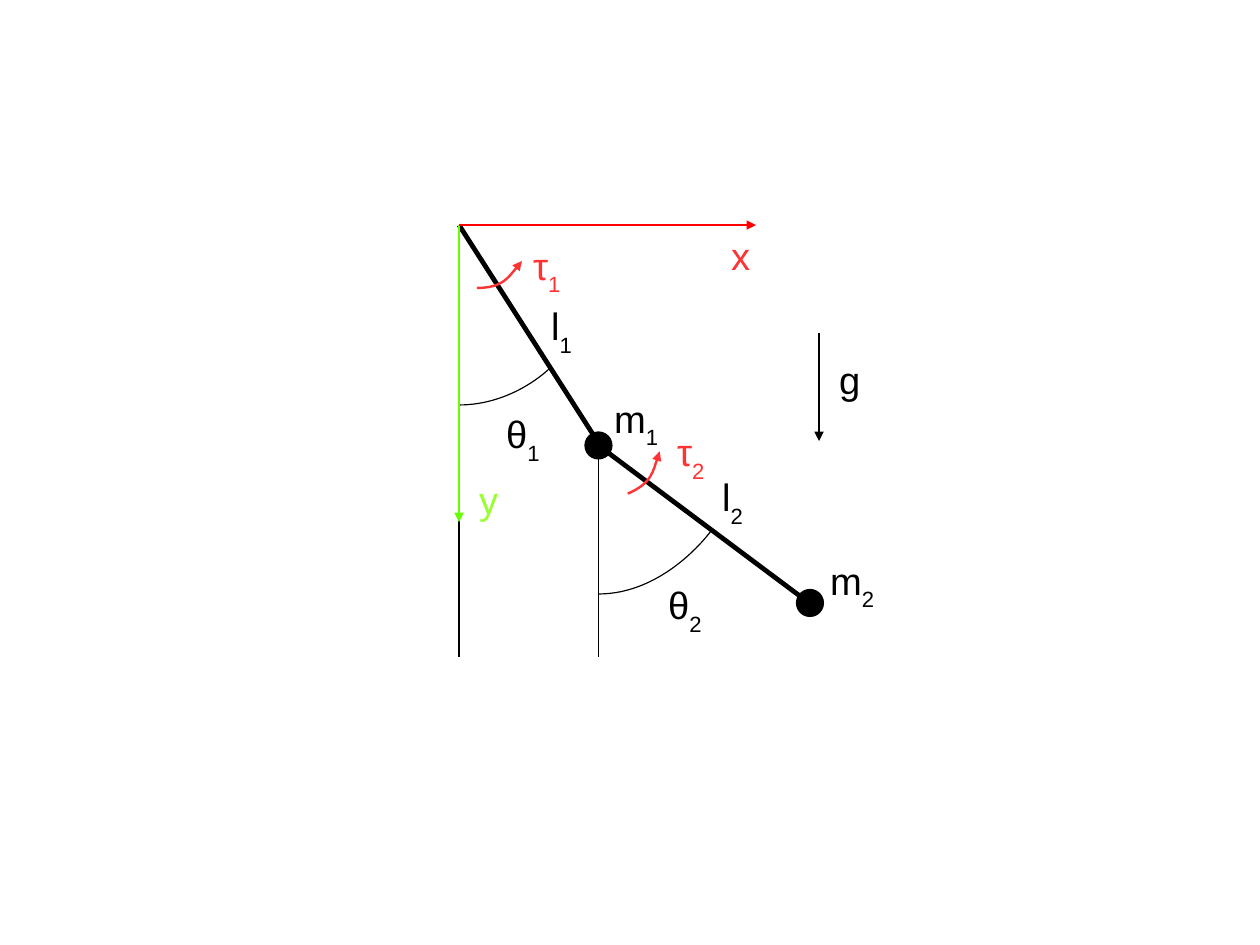
from lxml import etree
from pptx import Presentation
from pptx.dml.color import RGBColor
from pptx.enum.shapes import MSO_CONNECTOR, MSO_SHAPE
from pptx.enum.text import MSO_AUTO_SIZE
from pptx.oxml.ns import qn
from pptx.util import Cm, Pt

STRAIGHT = MSO_CONNECTOR.STRAIGHT
OVAL = MSO_SHAPE.OVAL
GROW = MSO_AUTO_SIZE.SHAPE_TO_FIT_TEXT

BLACK = RGBColor(0x00, 0x00, 0x00)
RED = RGBColor(0xFF, 0x00, 0x00)
SOFT_RED = RGBColor(0xFF, 0x33, 0x33)
GREEN = RGBColor(0x66, 0xFF, 0x00)
SOFT_GREEN = RGBColor(0x99, 0xFF, 0x33)

COLUMNS, ROWS = 28, 21
CELL = Cm(1)
ORIGIN = (10.2, 5)
JOINT = (13.3, 9.9)
TIP = (18, 13.4)
BOB = 0.6
PLUMB_END = 14.6


def grid(*values):
    return [round(v * CELL) for v in values]


def style_line(sp, color, width, arrow=False):
    sp.line.color.rgb = color
    sp.line.width = Pt(width)
    if arrow:
        ln = sp.line._get_or_add_ln()
        etree.SubElement(ln, qn("a:tailEnd"), type="triangle")


def add_line(shapes, start, end, color, width, arrow=False):
    sp = shapes.add_connector(STRAIGHT, *grid(*start, *end))
    style_line(sp, color, width, arrow)
    etree.SubElement(sp._element.spPr, qn("a:effectLst"))


def add_curve(shapes, start, bend, end, color, width, arrow=False):
    builder = shapes.build_freeform(*grid(*start))
    builder.add_line_segments([grid(*end)], close=False)
    sp = builder.convert_to_shape()
    segment = next(sp._element.iter(qn("a:lnTo")))
    segment.tag = qn("a:cubicBezTo")
    x, y = grid(*bend)
    control = etree.Element(qn("a:pt"), x=str(x - sp.left), y=str(y - sp.top))
    segment.insert(0, control)
    end_pt = segment[1]
    etree.SubElement(segment, qn("a:pt"), x=end_pt.get("x"), y=end_pt.get("y"))
    sp.fill.background()
    sp.shadow.inherit = False
    style_line(sp, color, width, arrow)


def add_bob(shapes, center):
    x, y = center
    sp = shapes.add_shape(OVAL, *grid(x - BOB / 2, y - BOB / 2, BOB, BOB))
    sp.shadow.inherit = False
    sp.fill.solid()
    sp.fill.fore_color.rgb = BLACK
    style_line(sp, BLACK, 0)


def add_label(shapes, left, top, symbol, index="", color=BLACK, width=1.6, height=1.4):
    tf = shapes.add_textbox(*grid(left, top, width, height)).text_frame
    tf.word_wrap = True
    tf.auto_size = GROW
    p = tf.paragraphs[0]
    p.add_run().text = symbol
    if index:
        r = p.add_run()
        r.text = index
        r.font._element.set("baseline", "-33000")
    p.font.name = "Arial"
    p.font.size = Pt(24)
    p.font.color.rgb = color
    for r in p.runs:
        r.font.name = "Arial"
        r.font.size = Pt(24)
        r.font.color.rgb = color


def add_pendulum(shapes):
    add_line(shapes, ORIGIN, (13.4, 10), BLACK, 3)
    add_bob(shapes, JOINT)
    add_line(shapes, JOINT, (18.05, 13.45), BLACK, 3)
    add_bob(shapes, TIP)
    add_line(shapes, ORIGIN, (ORIGIN[0], PLUMB_END), BLACK, 1)
    add_line(shapes, (JOINT[0], 9.8), (JOINT[0], PLUMB_END), BLACK, 1)
    add_curve(shapes, (10.2, 9), (11.4, 9), (12.2, 8.2), BLACK, 0)
    add_curve(shapes, (13.3, 13.2), (14.8, 13.2), (15.8, 11.8), BLACK, 0)


def add_vectors(shapes):
    add_line(shapes, ORIGIN, (ORIGIN[0], 11.6), GREEN, 1.5, True)
    add_line(shapes, ORIGIN, (16.8, ORIGIN[1]), RED, 1.5, True)
    add_line(shapes, (18.2, 7.4), (18.2, 9.8), BLACK, 1.5, True)
    add_curve(shapes, (10.6, 6.4), (11.2, 6.4), (11.6, 5.8), SOFT_RED, 1.5, True)
    add_curve(shapes, (13.95, 10.97), (14.5, 10.74), (14.66, 10.03), SOFT_RED, 1.5, True)


def add_labels(shapes):
    for left, top, symbol, index in (
        (11, 9, "θ", "1"),
        (14.6, 12.8, "θ", "2"),
        (12, 6.6, "l", "1"),
        (15.8, 10.4, "l", "2"),
        (18.4, 7.8, "g", ""),
    ):
        add_label(shapes, left, top, symbol, index, width=1.4)
    add_label(shapes, 13.4, 8.66, "m", "1", height=2.34)
    add_label(shapes, 18.2, 12.26, "m", "2", height=2.34)
    add_label(shapes, 16, 5.05, "x", color=SOFT_RED)
    add_label(shapes, 10.4, 10.46, "y", color=SOFT_GREEN)
    add_label(shapes, 11.6, 5.26, "τ", "1", SOFT_RED)
    add_label(shapes, 14.8, 9.4, "τ", "2", SOFT_RED)


def main():
    prs = Presentation()
    prs.slide_width, prs.slide_height = grid(COLUMNS, ROWS)
    shapes = prs.slides.add_slide(prs.slide_layouts[6]).shapes
    add_pendulum(shapes)
    add_vectors(shapes)
    add_labels(shapes)
    prs.save("out.pptx")


if __name__ == "__main__":
    main()
